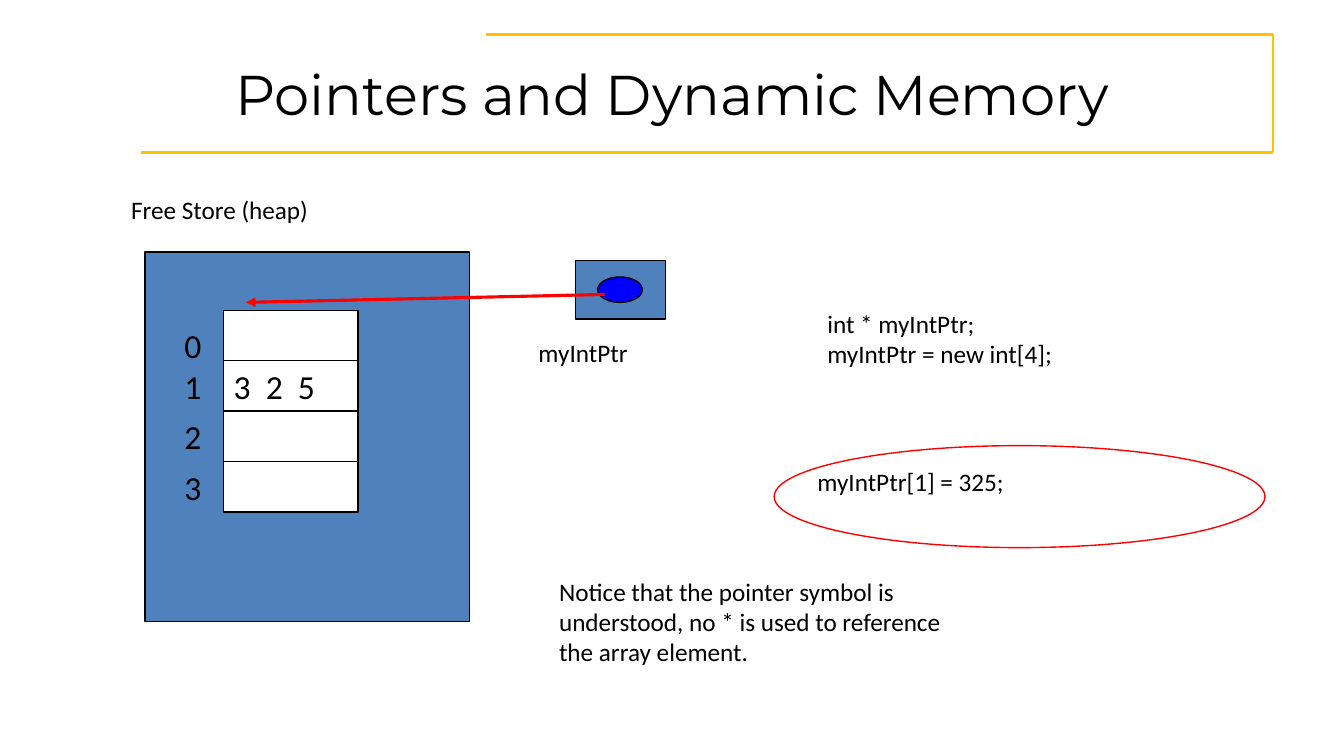
from dataclasses import dataclass

from lxml import etree
from pptx import Presentation
from pptx import util as u
from pptx.dml import color
from pptx.enum import shapes, text
from pptx.oxml import ns


@dataclass(frozen=True)
class Theme:
    black: str = "000000"
    white: str = "FFFFFF"
    gold: str = "FFC100"
    memory_blue: str = "4F81BD"
    pointer_blue: str = "0000FF"
    red: str = "FF0000"
    heading_font: str = "Montserrat"
    body_font: str = "Calibri"
    heading_size: int = 40
    value_size: int = 24
    body_size: int = 18
    frame_line: float = 2
    arrow_line: float = 2.25
    outline: float = 1


def apply(target, values):
    for name, value in values.items():
        setattr(target, name, value)


def rgb(value):
    return color.RGBColor.from_string(value)


class SlideBuilder:
    def __init__(self, theme):
        self.theme = theme
        self.deck = Presentation()
        apply(self.deck, {"slide_width": u.Cm(33.87), "slide_height": u.Cm(19.05)})
        self.page = self.deck.slides.add_slide(self.deck.slide_layouts[6])

    def line(self, start, end, line_color, width, arrow=False):
        connector = self.page.shapes.add_connector(
            shapes.MSO_CONNECTOR.STRAIGHT, *map(u.Cm, start + end)
        )
        connector.line.color.rgb = rgb(line_color)
        connector.line.width = u.Pt(width)
        properties = connector.element.spPr
        if arrow:
            outline = properties.find(ns.qn("a:ln"))
            etree.SubElement(outline, ns.qn("a:tailEnd"), type="triangle")
        etree.SubElement(properties, ns.qn("a:effectLst"))

    def shape(self, kind, bounds, fill, line_color=None):
        box = self.page.shapes.add_shape(kind, *map(u.Cm, bounds))
        box.shadow.inherit = False
        box.fill.solid()
        box.fill.fore_color.rgb = rgb(fill)
        box.line.color.rgb = rgb(line_color or self.theme.black)
        box.line.width = u.Pt(self.theme.outline)
        return box

    def label(self, bounds, lines, size=None, font=None, centred=True, wrap=False):
        box = self.page.shapes.add_textbox(*map(u.Cm, bounds))
        self.set_text(box, lines, size, font, centred, wrap)
        if not wrap:
            box.text_frame.auto_size = text.MSO_AUTO_SIZE.SHAPE_TO_FIT_TEXT

    def set_text(self, box, lines, size=None, font=None, centred=True, wrap=False):
        frame = box.text_frame
        apply(frame, {"word_wrap": wrap, "vertical_anchor": text.MSO_ANCHOR.MIDDLE})
        alignment = text.PP_ALIGN.CENTER if centred else text.PP_ALIGN.LEFT
        for index, line in enumerate(lines):
            para = frame.add_paragraph() if index else frame.paragraphs[0]
            para.alignment = alignment
            span = para.add_run()
            span.text = line
            apply(span.font, {
                "name": font or self.theme.body_font,
                "size": u.Pt(size or self.theme.body_size),
            })
            span.font.color.rgb = rgb(self.theme.black)

    def spread_letters(self, box, points):
        for properties in box.element.xpath(".//a:rPr"):
            properties.set("spc", str(round(points * 100)))

    def save(self):
        self.deck.save("out.pptx")


def main():
    theme = Theme()
    slide = SlideBuilder(theme)
    rectangle = shapes.MSO_SHAPE.RECTANGLE
    oval = shapes.MSO_SHAPE.OVAL

    frame_corners = [(12.24, 0.86), (32.08, 0.86), (32.08, 3.84), (3.56, 3.84)]
    for start, end in zip(frame_corners, frame_corners[1:]):
        slide.line(start, end, theme.gold, theme.frame_line)
    slide.label((1.7, 0.76, 30.48, 3.18), ["Pointers and Dynamic Memory"],
                theme.heading_size, theme.heading_font, wrap=True)

    slide.shape(oval, (19.51, 11.23, 12.37, 2.57), theme.white, theme.red)
    slide.shape(rectangle, (3.66, 6.35, 8.18, 9.32), theme.memory_blue)
    slide.shape(rectangle, (14.5, 6.56, 2.27, 1.48), theme.memory_blue)
    slide.shape(oval, (15.06, 6.98, 1.13, 0.64), theme.pointer_blue)

    cell_top, cell_height = 7.82, 1.27
    for row in range(4):
        top = cell_top + row * cell_height
        cell = slide.shape(rectangle, (5.64, top, 3.38, cell_height), theme.white)
        if row == 1:
            slide.set_text(cell, ["3 2 5"], theme.value_size, centred=False, wrap=True)
            slide.spread_letters(cell, 2.7)
        label_top = top if row else top + 0.23
        slide.label((4.39, label_top, 0.94, cell_height), [str(row)], theme.value_size)

    slide.line((15.24, 7.42), (6.2, 7.62), theme.red, theme.arrow_line, arrow=True)

    slide.label((3.02, 4.78, 5.03, 1.02), ["Free Store (heap)"])
    slide.label((13.31, 8.38, 2.77, 1.02), ["myIntPtr"])
    slide.label((20.32, 11.63, 5.26, 1.02), ["myIntPtr[1] = 325;"])
    slide.label((20.6, 7.62, 6.25, 1.8),
                ["int * myIntPtr;", "myIntPtr = new int[4];"], centred=False)
    slide.label((13.84, 14.38, 10.24, 2.57), [
        "Notice that the pointer symbol is",
        "understood, no * is used to reference",
        "the array element.",
    ], centred=False)
    slide.save()


if __name__ == "__main__":
    main()
